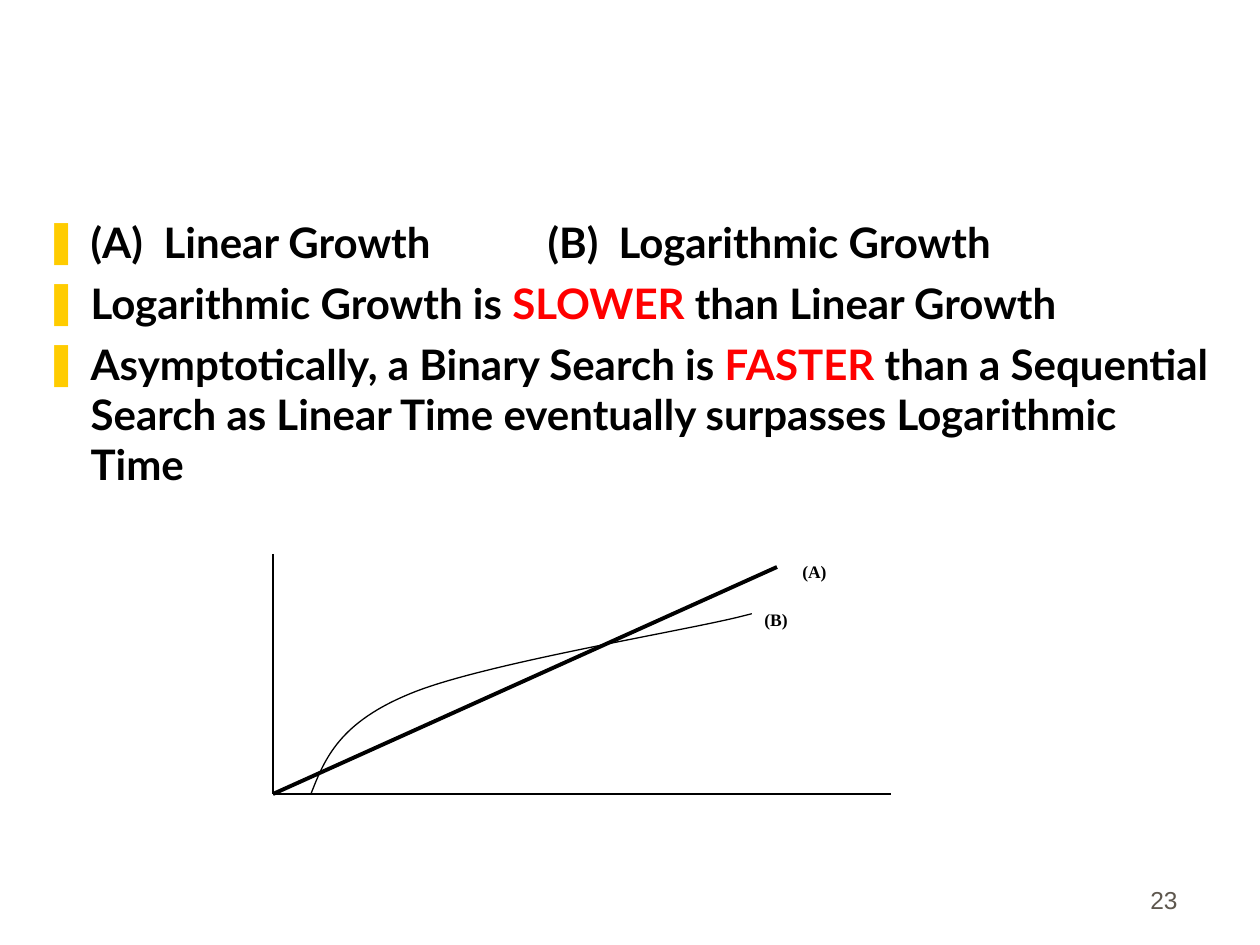
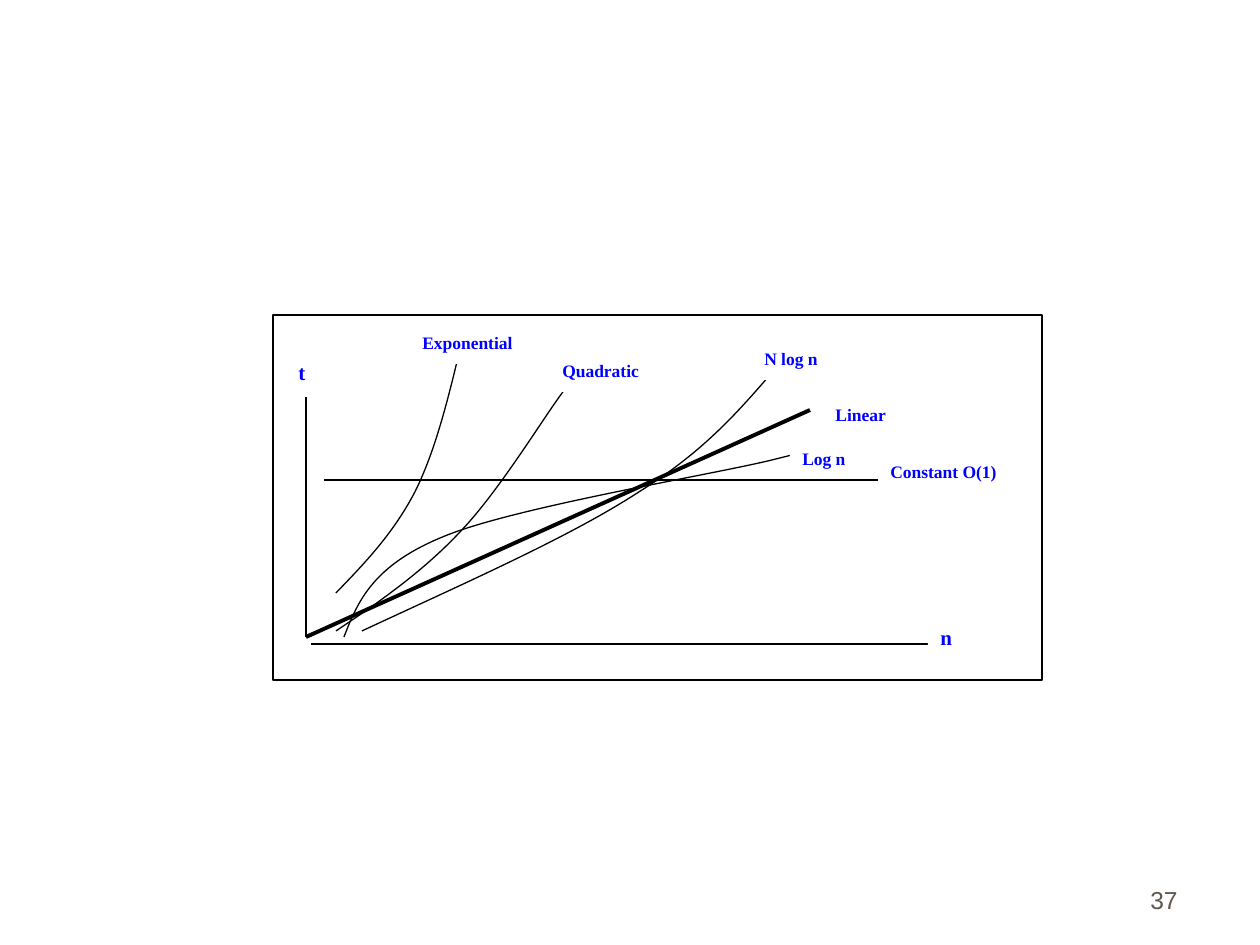
from pptx import Presentation
from pptx.dml.color import RGBColor
from pptx.enum.shapes import MSO_CONNECTOR, MSO_SHAPE
from pptx.enum.text import MSO_ANCHOR, MSO_AUTO_SIZE, PP_ALIGN
from pptx.oxml.ns import qn
from pptx.util import Pt
from lxml.etree import SubElement

EMU_PER_PX = 914400 / 126
BLACK, WHITE, RED, BLUE = "000000", "FFFFFF", "FF0000", "0000FF"
GOLD, GREY = "FFCC00", "5E574E"
BODY_FONT, LABEL_FONT, NUMBER_FONT = "Lato", "Times New Roman", "Arial"
THIN, THICK = 0.75, 2.25
BULLET_INDENT = 47
LOG_CURVE = [(0, 0), (14, -36), (29, -72), (101, -101), (172, -130),
             (367, -162), (428, -177), (489, -192), (460, -188), (466, -189)]


def px(length):
    return round(length * EMU_PER_PX)


def color(hex_string):
    return RGBColor.from_string(hex_string)


def set_font(font, name, size, hex_string, bold=False):
    font.name, font.size, font.bold = name, Pt(size), bold
    font.color.rgb = color(hex_string)


def set_line(line, weight):
    line.color.rgb = color(BLACK)
    line.width = Pt(weight)


def add_line(slide, start, end, weight=THIN):
    line = slide.shapes.add_connector(
        MSO_CONNECTOR.STRAIGHT, *map(px, (*start, *end)))
    set_line(line.line, weight)
    SubElement(line._element.spPr, qn("a:effectLst"))


def add_curve(slide, knots):
    builder = slide.shapes.build_freeform(*map(px, knots[0]), scale=1.0)
    builder.add_line_segments([(px(x), px(y)) for x, y in knots[1:]], close=False)
    curve = builder.convert_to_shape()
    segments = list(curve._element.iter(qn("a:lnTo")))
    outline = segments[0].getparent()
    for first in range(0, len(segments), 3):
        bezier = SubElement(outline, qn("a:cubicBezTo"))
        for segment in segments[first:first + 3]:
            bezier.append(segment[0])
            outline.remove(segment)
    curve.shadow.inherit = False
    curve.fill.background()
    set_line(curve.line, THIN)


def add_rectangle(slide, left, top, width, height):
    rectangle = slide.shapes.add_shape(
        MSO_SHAPE.RECTANGLE, *map(px, (left, top, width, height)))
    rectangle.shadow.inherit = False
    rectangle.fill.solid()
    rectangle.fill.fore_color.rgb = color(WHITE)
    return rectangle


def add_label(slide, text, left, top, width, hex_string, size=10):
    label = add_rectangle(slide, left, top, width, 38)
    label.line.fill.background()
    label.text_frame.vertical_anchor = MSO_ANCHOR.TOP
    paragraph = label.text_frame.paragraphs[0]
    paragraph.text = text
    paragraph.alignment = PP_ALIGN.LEFT
    set_font(paragraph.font, LABEL_FONT, size, hex_string, True)


def add_slide_number(slide, number):
    footer = slide.shapes.add_textbox(*map(px, (928, 858, 262, 63)))
    footer.text_frame.word_wrap = True
    footer.text_frame.vertical_anchor = MSO_ANCHOR.BOTTOM
    paragraph = footer.text_frame.paragraphs[0]
    paragraph.text = number
    paragraph.alignment = PP_ALIGN.RIGHT
    set_font(paragraph.font, NUMBER_FONT, 14, GREY)


def add_growth_plot(slide, x, y):
    add_line(slide, (x, y - 240), (x, y))
    add_curve(slide, [(x + 38 + dx, y + dy) for dx, dy in LOG_CURVE])
    add_line(slide, (x, y), (x + 504, y - 227), THICK)


def format_bullet(paragraph, tab_stops):
    properties = paragraph._p.get_or_add_pPr()
    properties.set("marL", str(px(BULLET_INDENT)))
    properties.set("indent", str(-px(BULLET_INDENT)))
    bullet_color = SubElement(properties, qn("a:buClr"))
    SubElement(bullet_color, qn("a:srgbClr"), val=GOLD)
    SubElement(properties, qn("a:buChar"), char="❚")
    if tab_stops:
        tabs = SubElement(properties, qn("a:tabLst"))
        for stop in tab_stops:
            SubElement(tabs, qn("a:tab"), pos=str(px(stop)), algn="l")


def fill_bullets(body, bullets):
    body.left, body.top, body.width, body.height = map(px, (31, 210, 1198, 683))
    frame = body.text_frame
    frame.auto_size = MSO_AUTO_SIZE.NONE
    for index, (runs, tab_stops) in enumerate(bullets):
        paragraph = frame.add_paragraph() if index else frame.paragraphs[0]
        format_bullet(paragraph, tab_stops)
        paragraph.space_before = Pt(6 if index else 0)
        set_font(paragraph.font, BODY_FONT, 24, BLACK, True)
        for text, hex_string in runs:
            run = paragraph.add_run()
            run.text = text
            run.font.color.rgb = color(hex_string)


def build_search_comparison(deck):
    slide = deck.slides.add_slide(deck.slide_layouts[1])
    title = slide.shapes.title._element
    title.getparent().remove(title)
    fill_bullets(slide.placeholders[1], [
        ([("(A)\tLinear Growth\t(B)\tLogarithmic Growth", BLACK)],
         (120, 504, 575)),
        ([("Logarithmic Growth is ", BLACK), ("SLOWER", RED),
          (" than Linear Growth", BLACK)], ()),
        ([("Asymptotically, a Binary Search is ", BLACK), ("FASTER", RED),
          (" than a Sequential Search as Linear Time eventually surpasses "
           "Logarithmic Time", BLACK)], ()),
    ])
    add_growth_plot(slide, 273, 794)
    add_line(slide, (273, 794), (891, 794))
    add_label(slide, "(A)", 790, 555, 76, BLACK)
    add_label(slide, "(B)", 752, 603, 50, BLACK)
    add_slide_number(slide, "23")


def build_growth_rates(deck):
    slide = deck.slides.add_slide(deck.slide_layouts[6])
    frame = add_rectangle(slide, 273, 315, 769, 365)
    set_line(frame.line, THIN)

    add_growth_plot(slide, 306, 637)
    add_line(slide, (311, 644), (928, 644))
    exponential = [(336, 593), (365, 563), (393, 534), (415, 492),
                   (436, 450), (449, 396), (462, 341)]
    quadratic = [(336, 631), (381, 601), (425, 570), (462, 530),
                 (500, 490), (546, 414), (563, 392)]
    n_log_n = [(362, 631), (465, 583), (570, 537), (639, 492),
               (708, 449), (742, 407), (777, 367)]
    for curve in (exponential, quadratic, n_log_n):
        add_curve(slide, curve)

    for text, left, top, width in (
            ("Linear", 823, 398, 79), ("Log n", 790, 442, 113),
            ("Exponential", 410, 326, 126), ("Quadratic", 550, 354, 126),
            ("N log n", 752, 342, 126), ("Constant O(1)", 878, 455, 151)):
        add_label(slide, text, left, top, width, BLUE)
    for axis, left, top in (("t", 286, 353), ("n", 928, 618)):
        add_label(slide, axis, left, top, 38, BLUE, 12)
    add_line(slide, (878, 480), (324, 480))
    add_slide_number(slide, "37")


def main():
    deck = Presentation()
    deck.slide_width, deck.slide_height = px(1260), px(945)
    build_search_comparison(deck)
    build_growth_rates(deck)
    deck.save("out.pptx")


if __name__ == "__main__":
    main()
